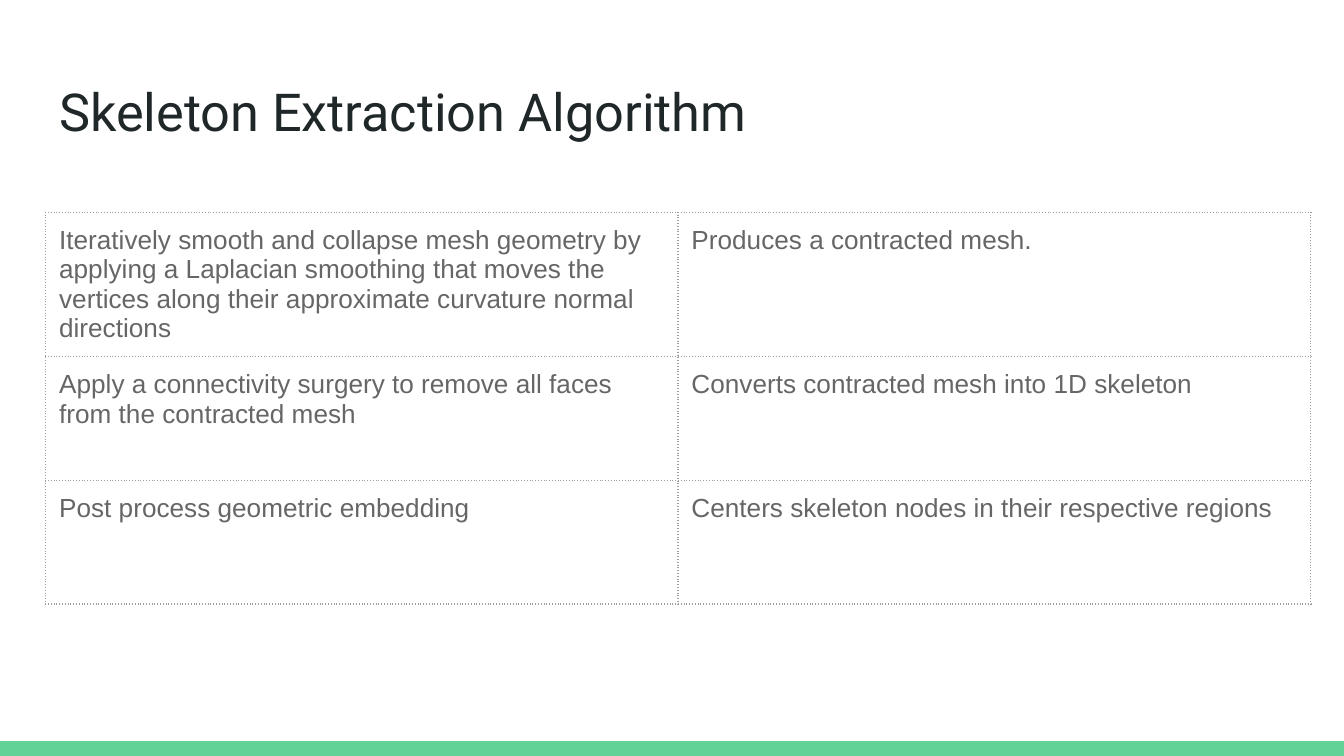
import pptx
import pptx.util
import pptx.dml.color
import pptx.enum.shapes
import pptx.enum.text
import pptx.oxml
import pptx.oxml.ns

Inches = pptx.util.Inches


def add_run(paragraph, text, font, size, color):
    run = paragraph.add_run()
    run.text = text
    run.font.name = font
    run.font.size = pptx.util.Pt(size)
    run.font.color.rgb = pptx.dml.color.RGBColor.from_string(color)


def add_dotted_borders(cell, color, width):
    """Line all four sides; the lines must precede the fill in the XML."""
    properties = cell._tc.get_or_add_tcPr()
    for index, side in enumerate(("lnL", "lnR", "lnT", "lnB")):
        properties.insert(index, pptx.oxml.parse_xml(
            f'<a:{side} {pptx.oxml.ns.nsdecls("a")} w="{pptx.util.Pt(width)}">'
            f'<a:solidFill><a:srgbClr val="{color}"/></a:solidFill>'
            f'<a:prstDash val="dot"/></a:{side}>'))


# 16:9 slide
presentation = pptx.Presentation()
presentation.slide_width = Inches(10)
presentation.slide_height = Inches(10 * 9 / 16)
slide = presentation.slides.add_slide(presentation.slide_layouts[5])

# Green footer band along the bottom edge
band_height = Inches(0.11)
footer_band = slide.shapes.add_shape(
    pptx.enum.shapes.MSO_SHAPE.RECTANGLE,
    0, presentation.slide_height - band_height,
    presentation.slide_width, band_height)
footer_band.shadow.inherit = False
footer_band.fill.solid()
footer_band.fill.fore_color.rgb = pptx.dml.color.RGBColor.from_string("63D297")
footer_band.line.fill.background()

# Title
title = slide.shapes.title
title.left, title.top = Inches(0.34), Inches(0.49)
title.width, title.height = Inches(9.32), Inches(0.63)
heading = title.text_frame
heading.word_wrap = True
heading.auto_size = pptx.enum.text.MSO_AUTO_SIZE.NONE
heading.vertical_anchor = pptx.enum.text.MSO_ANCHOR.TOP
heading.margin_left = heading.margin_right = Inches(0.1)
heading.margin_top = heading.margin_bottom = Inches(0.1)
heading.paragraphs[0].alignment = pptx.enum.text.PP_ALIGN.LEFT
add_run(heading.paragraphs[0], "Skeleton Extraction Algorithm", "Roboto", 28, "202729")

# Each algorithm step beside its result
steps = [
    ("Iteratively smooth and collapse mesh geometry by applying a Laplacian "
     "smoothing that moves the vertices along their approximate curvature "
     "normal directions",
     "Produces a contracted mesh."),
    ("Apply a connectivity surgery to remove all faces from the contracted mesh",
     "Converts contracted mesh into 1D skeleton"),
    ("Post process geometric embedding",
     "Centers skeleton nodes in their respective regions"),
]
step_table = slide.shapes.add_table(
    len(steps), 2, Inches(0.34), Inches(1.58), Inches(9.41), Inches(2.76)).table
step_table.first_row = False
step_table.horz_banding = False

for row, step in enumerate(steps):
    for column, text in enumerate(step):
        cell = step_table.cell(row, column)
        cell.fill.background()
        cell.margin_left = cell.margin_right = Inches(0.1)
        cell.margin_top = cell.margin_bottom = Inches(0.1)
        add_run(cell.text_frame.paragraphs[0], text, "Arial", 14, "666666")
        add_dotted_borders(cell, "9E9E9E", 0.75)

presentation.save("out.pptx")
